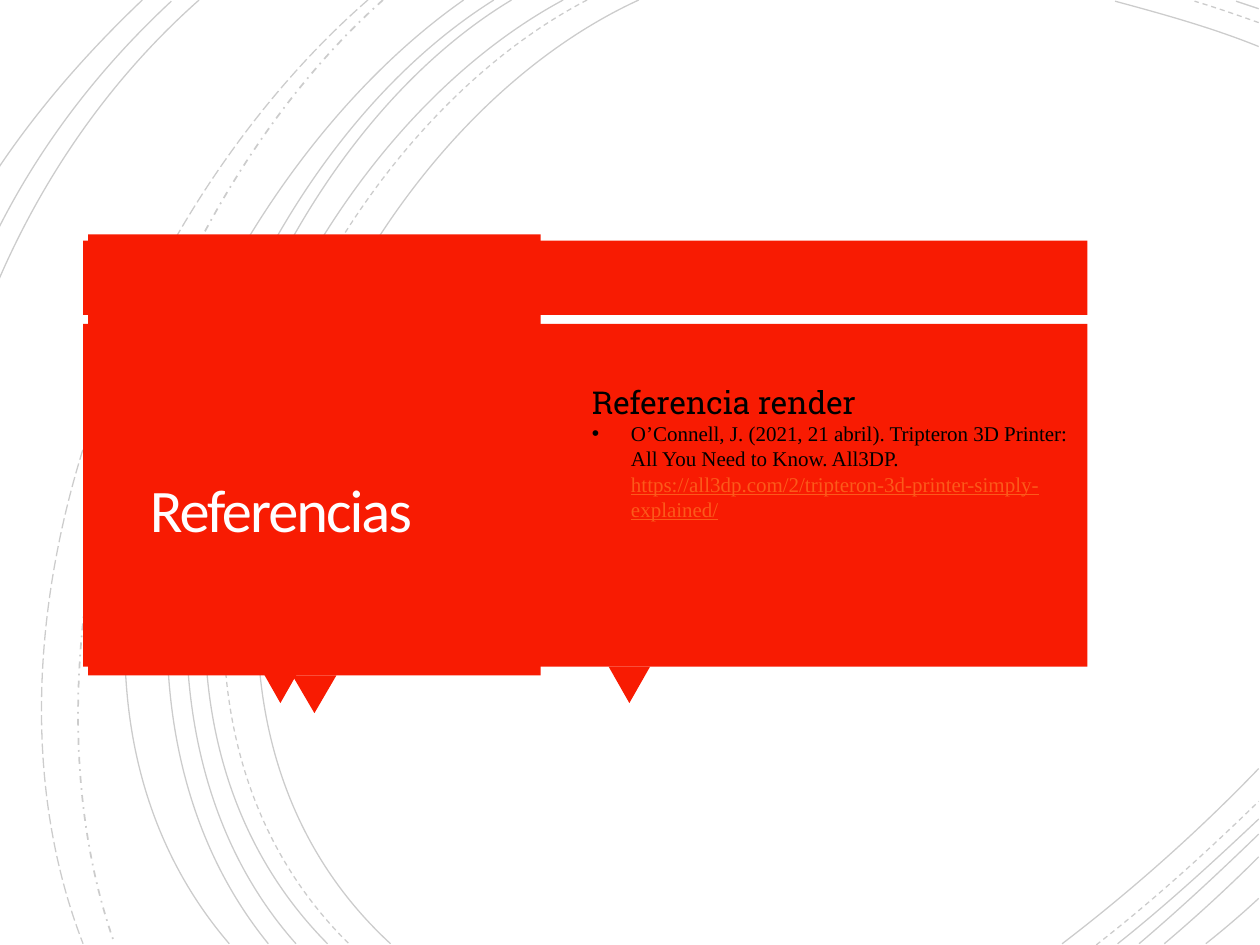
from dataclasses import dataclass

from lxml.etree import SubElement
from pptx import Presentation
from pptx.dml.color import RGBColor
from pptx.enum.dml import MSO_LINE
from pptx.enum.shapes import MSO_SHAPE
from pptx.enum.text import MSO_ANCHOR, PP_ALIGN
from pptx.oxml.ns import qn
from pptx.util import Inches, Pt


@dataclass(frozen=True)
class Theme:
    red: RGBColor = RGBColor(0xF8, 0x1B, 0x02)
    white: RGBColor = RGBColor(0xFF, 0xFE, 0xFF)
    black: RGBColor = RGBColor(0, 0, 0)
    link: RGBColor = RGBColor(0xFC, 0x5A, 0x1A)
    title_size: float = 34.5
    heading_size: float = 18
    citation_size: float = 12
    title_font: str = "Calibri"
    heading_font: str = "Roboto Slab"
    citation_font: str = "Times New Roman"


THEME = Theme()
SOLID, DASH = MSO_LINE.SOLID, MSO_LINE.DASH
DASH_DOT, LONG_DASH = MSO_LINE.DASH_DOT, MSO_LINE.LONG_DASH

# Each arc: start, two control points, end (x, y in inches), dash, width in points
ARCS = [
    ((5.07, 0), (2.56, 1.15), (0.83, 5.4), (3.1, 7.49), SOLID, 0.75),
    ((9.99, 0.37), (9.62, 0.22), (9.22, 0.11), (8.85, 0.01), SOLID, 0.75),
    ((8.43, 7.49), (8.98, 7.07), (9.51, 6.6), (9.99, 6.1), SOLID, 0.75),
    ((4.66, 0), (2.26, 1.25), (0.63, 5.38), (2.77, 7.49), DASH, 0.75),
    ((9.99, 0.18), (9.82, 0.12), (9.65, 0.06), (9.48, 0.01), DASH, 0.75),
    ((8.7, 7.5), (9.15, 7.15), (9.58, 6.76), (9.99, 6.36), DASH, 0.75),
    ((4.47, 0), (2.11, 1.27), (0.5, 5.37), (2.6, 7.49), SOLID, 0.75),
    ((9.99, 0.07), (9.93, 0.05), (9.87, 0.03), (9.81, 0.01), SOLID, 0.75),
    ((8.87, 7.49), (9.26, 7.18), (9.63, 6.84), (9.99, 6.5), SOLID, 0.75),
    ((4.06, 0), (1.85, 1.33), (0.5, 5.41), (2.35, 7.49), SOLID, 0.75),
    ((9.04, 7.49), (9.37, 7.21), (9.68, 6.92), (9.99, 6.62), SOLID, 0.75),
    ((3.92, 0), (1.72, 1.38), (0.38, 5.34), (2.13, 7.49), SOLID, 0.75),
    ((9.24, 7.49), (9.5, 7.27), (9.75, 7.04), (9.99, 6.8), SOLID, 0.75),
    ((3.68, 0), (1.58, 1.47), (-0.07, 5.29), (1.82, 7.49), SOLID, 0.75),
    ((9.57, 7.49), (9.71, 7.38), (9.85, 7.26), (9.99, 7.13), SOLID, 0.75),
    ((3.04, 0), (1.17, 1.66), (0.06, 5.09), (0.91, 7.49), DASH_DOT, 1),
    ((2.92, 0), (0.98, 1.69), (-0.31, 4.99), (0.66, 7.49), LONG_DASH, 0.75),
    ((1.58, 0), (0.88, 0.62), (0.35, 1.39), (-0.01, 2.22), SOLID, 0.75),
    ((1.36, 0.01), (0.79, 0.54), (0.33, 1.14), (-0.01, 1.81), SOLID, 0.75),
    ((1.13, 0), (0.71, 0.4), (0.32, 0.84), (-0.01, 1.33), SOLID, 0.75),
]


def add_curve(slide, points):
    """One cubic Bezier curve through start, two control points and end."""
    start, *others = points
    builder = slide.shapes.build_freeform(*start)
    builder.add_line_segments(others, close=False)
    curve = builder.convert_to_shape()
    segments = list(curve._element.iter(qn("a:lnTo")))
    bezier = SubElement(segments[0].getparent(), qn("a:cubicBezTo"))
    for segment in segments:
        bezier.append(segment[0])
        segment.getparent().remove(segment)
    return curve


def add_arcs(slide, left, top):
    """Faint arcs of the background, measured from the given corner."""
    for *points, dash, width in ARCS:
        arc = add_curve(slide, [(Inches(left + x), Inches(top + y)) for x, y in points])
        arc.shadow.inherit = False
        arc.fill.background()
        arc.line.color.rgb = THEME.black
        arc.line.width = Pt(width)
        arc.line.dash_style = dash
        color = arc.line._get_or_add_ln().find(".//" + qn("a:srgbClr"))
        SubElement(color, qn("a:alpha"), val="20000")


def add_red_shape(slide, preset, left, top, width, height):
    shape = slide.shapes.add_shape(
        preset, Inches(left), Inches(top), Inches(width), Inches(height))
    shape.shadow.inherit = False
    shape.fill.solid()
    shape.fill.fore_color.rgb = THEME.red
    shape.line.fill.background()
    return shape


def add_panel(slide, left, top, width, header, gap, body, pointer_x, pointer):
    """Header band, downward pointer and body, stacked from the top left corner."""
    body_top = top + header + gap
    add_red_shape(slide, MSO_SHAPE.RECTANGLE, left, top, width, header)
    marker = add_red_shape(slide, MSO_SHAPE.ISOSCELES_TRIANGLE, left + pointer_x,
                           body_top + body, *pointer)
    marker.rotation = 180
    add_red_shape(slide, MSO_SHAPE.RECTANGLE, left, body_top, width, body)


def add_run(paragraph, text, *, font, size, color, underline=None, spacing=None):
    run = paragraph.add_run()
    run.text = text
    run.font.name = font
    run.font.size = Pt(size)
    run.font.color.rgb = color
    run.font.underline = underline
    if spacing is not None:
        run._r.get_or_add_rPr().set("spc", str(round(spacing * 100)))


def add_text_frame(slide, left, top, width, height):
    frame = slide.shapes.add_textbox(
        Inches(left), Inches(top), Inches(width), Inches(height)).text_frame
    frame.word_wrap = True
    return frame


def add_title(slide, left, top, width, height):
    frame = add_text_frame(slide, left, top, width, height)
    frame.vertical_anchor = MSO_ANCHOR.BOTTOM
    frame.margin_left = frame.margin_right = frame.margin_top = Inches(0.19)
    frame.margin_bottom = 0
    title = frame.paragraphs[0]
    title.alignment = PP_ALIGN.CENTER
    title.line_spacing = 0.8
    add_run(title, "Referencias", font=THEME.title_font, size=THEME.title_size,
            color=THEME.white, spacing=-1.1)


def add_references(slide, left, top, width, height):
    frame = add_text_frame(slide, left, top, width, height)
    add_run(frame.paragraphs[0], "Referencia render", font=THEME.heading_font,
            size=THEME.heading_size, color=THEME.black)

    citation = frame.add_paragraph()
    properties = citation._p.get_or_add_pPr()
    properties.set("marL", str(Inches(0.31)))
    properties.set("indent", str(-Inches(0.31)))
    SubElement(properties, qn("a:buFont"), typeface="Arial")
    SubElement(properties, qn("a:buChar"), char="•")
    citation_style = dict(font=THEME.citation_font, size=THEME.citation_size)
    add_run(citation, "O’Connell, J. (2021, 21 abril). Tripteron 3D Printer: "
            "All You Need to Know. All3DP. ", color=THEME.black, **citation_style)
    add_run(citation, "https://all3dp.com/2/tripteron-3d-printer-simply-explained/",
            color=THEME.link, underline=True, **citation_style)


def build_references_slide(slide):
    add_arcs(slide, 0, 0)

    # Overlapping red panels: tall left one, then the wide and narrow pair
    add_panel(slide, 0.7, 1.86, 3.59, header=0.55, gap=0.08, body=2.87,
              pointer_x=1.62, pointer=(0.35, 0.3))
    for left, width, pointer_x in ((1.37, 7.26, 3.46), (0.66, 3.14, 1.4)):
        add_panel(slide, left, 1.91, width, header=0.59, gap=0.07, body=2.72,
                  pointer_x=pointer_x, pointer=(0.33, 0.29))

    # Wording
    add_title(slide, 0.73, 2.64, 3, 1.68)
    add_references(slide, 4.6, 2.99, 4.03, 1.51)


def main():
    presentation = Presentation()
    presentation.slide_width = Inches(10)
    presentation.slide_height = Inches(7.5)
    build_references_slide(presentation.slides.add_slide(presentation.slide_layouts[6]))
    presentation.save("out.pptx")


if __name__ == "__main__":
    main()
